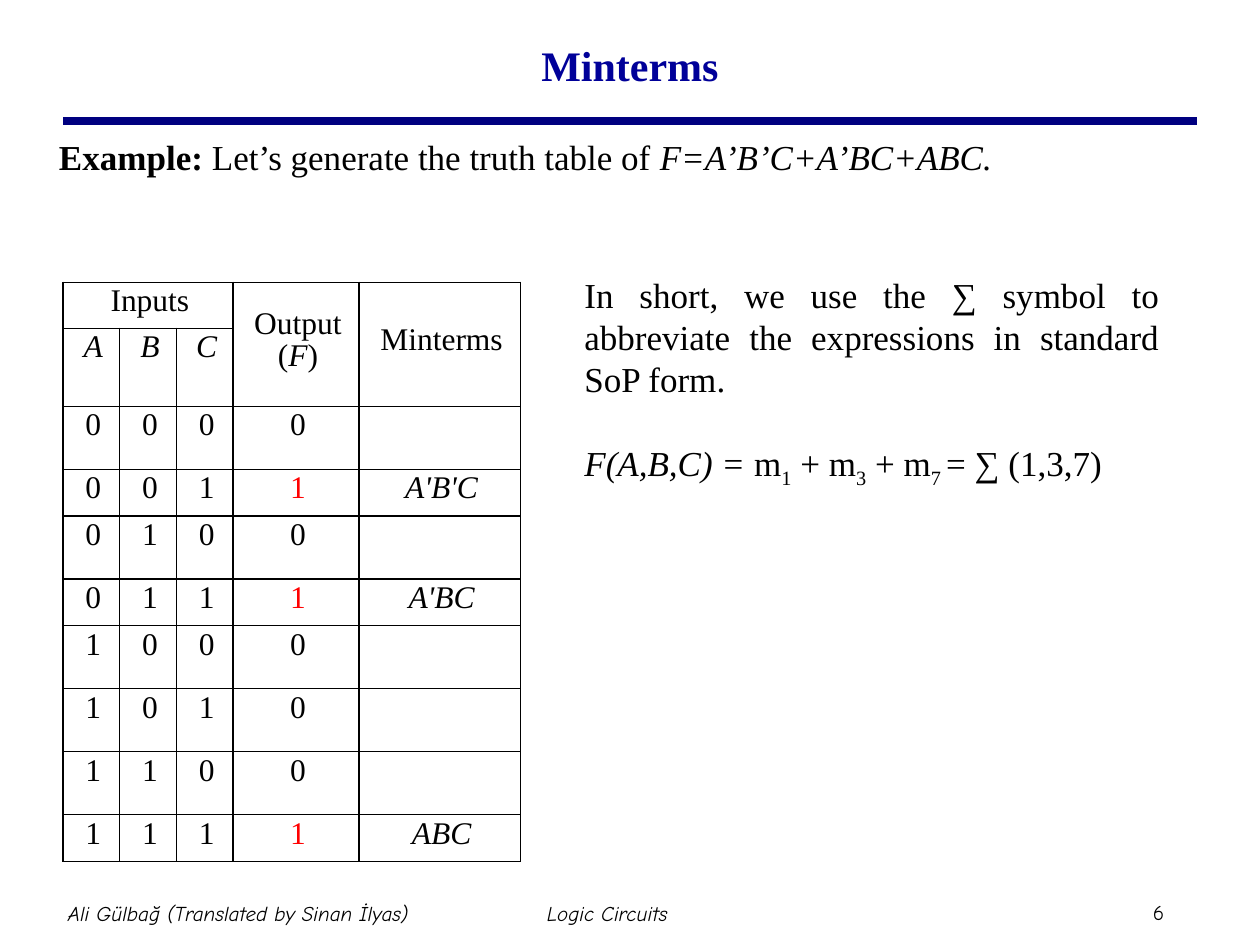
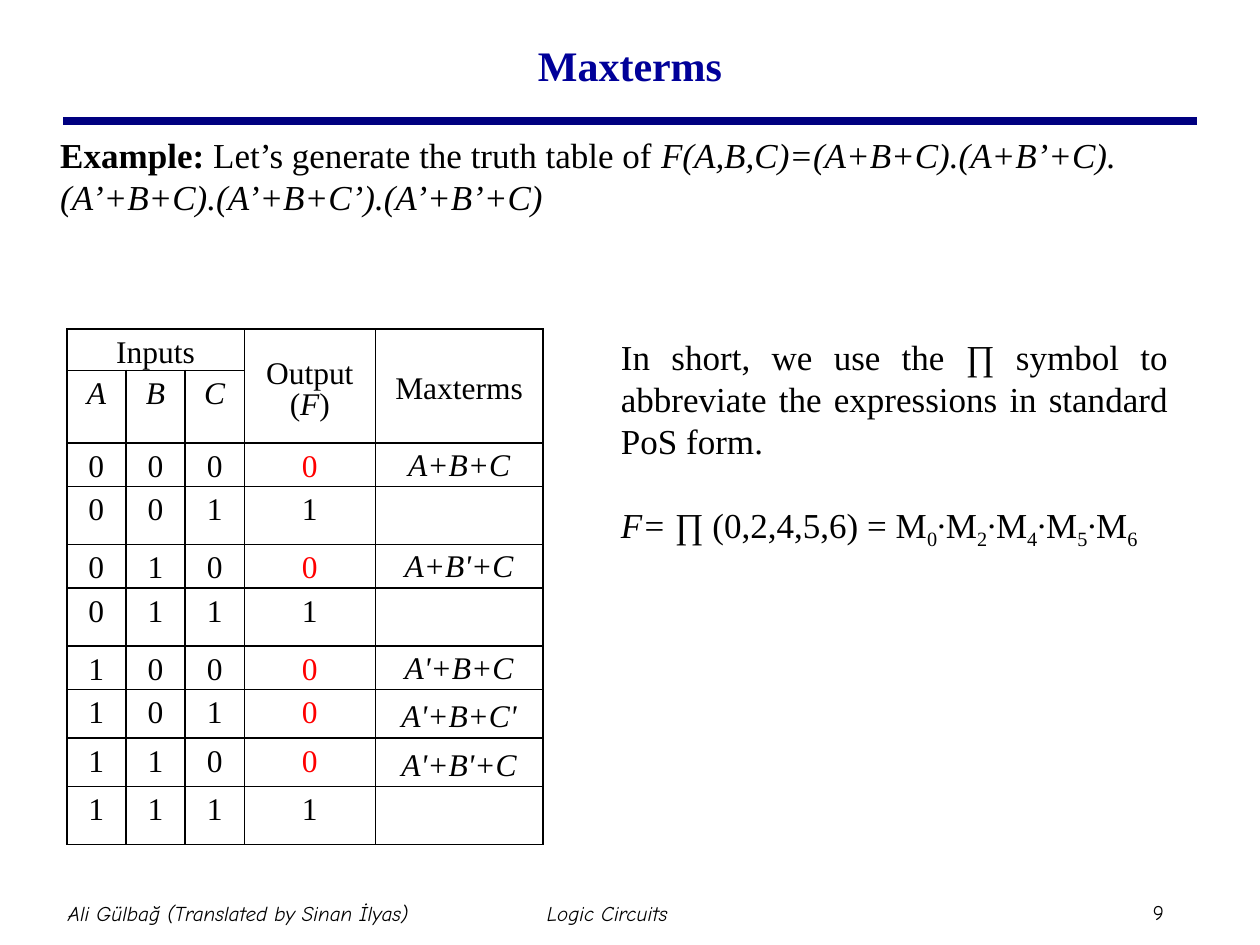
from itertools import product

from lxml import etree
from pptx import Presentation
from pptx.dml.color import RGBColor
from pptx.enum.shapes import MSO_CONNECTOR
from pptx.enum.text import MSO_ANCHOR, MSO_AUTO_SIZE, PP_ALIGN
from pptx.oxml.ns import qn
from pptx.util import Inches, Pt

LEFT, CENTER, JUSTIFY = PP_ALIGN.LEFT, PP_ALIGN.CENTER, PP_ALIGN.JUSTIFY
TOP, MIDDLE = MSO_ANCHOR.TOP, MSO_ANCHOR.MIDDLE
BLACK = RGBColor(0x00, 0x00, 0x00)
RED = RGBColor(0xFF, 0x00, 0x00)
NAVY = RGBColor(0x00, 0x00, 0x80)
TITLE_BLUE = RGBColor(0x00, 0x00, 0x99)
SERIF, FOOTER_FONT = "Times New Roman", "Comic Neue"

# Content: a run is (text, style), with b bold, i italic, s subscript.
# A term is keyed by its row number; the output there is "active" and red.
FOOTERS = [("Ali Gülbağ (Translated by Sinan İlyas)", 0.1),
           ("Logic Circuits", 3.03)]
SLIDES = [
    dict(
        title="Minterms", number="6",
        example_at=(0.37, 1.03, 9.16, 0.52),
        function=[("F=A’B’C+A’BC+ABC.", "i")],
        table_at=(0.5, 2.24), columns=[0.45, 0.45, 0.45, 1, 1.28],
        terms={1: "A'B'C", 3: "A'BC", 7: "ABC"}, active=1,
        header_rows=[0.36, 0.62], row=0.47, tall_rows={1: 0.37, 3: 0.37, 7: 0.37},
        insets=(0.08, 0.12, 0.05, 0.08), term_tops=None,
        note_at=(4.54, 2.12, 4.76, 2.12),
        note="In short, we use the ∑ symbol to abbreviate the expressions in standard SoP form.",
        formula=[("F(A,B,C) =", "i"), (" m", ""), ("1", "s"), (" + m", ""), ("3", "s"),
                 (" + m", ""), ("7 ", "s"), ("= ∑ (1,3,7)", "")],
    ),
    dict(
        title="Maxterms", number="9",
        example_at=(0.38, 1.01, 9.16, 5.55),
        function=[("F(A,B,C)=(A+B+C).(A+B’+C).(A’+B+C).(A’+B+C’).(A’+B’+C)", "i")],
        table_at=(0.53, 2.61), columns=[0.47, 0.47, 0.47, 1.04, 1.33],
        terms={0: "A+B+C", 2: "A+B'+C", 4: "A'+B+C", 5: "A'+B+C'", 6: "A'+B'+C"}, active=0,
        header_rows=[0.33, 0.57], row=0.33, tall_rows={5: 0.36, 6: 0.36},
        insets=(0.05, 0.16, 0.05, 0), term_tops={0: 0, 2: 0, 4: 0, 5: 0.04, 6: 0.04},
        note_at=(4.83, 2.61, 4.54, 2.12),
        note="In short, we use the ∏ symbol to abbreviate the expressions in standard PoS form.",
        formula=[("F= ", "i"), ("∏ (0,2,4,5,6) = M", ""), ("0", "s")]
        + [run for n in "2456" for run in (("∙M", ""), (n, "s"))],
    ),
]


def write(p, runs, size, font=SERIF, color=BLACK, align=LEFT):
    p.alignment = align
    for text, style in runs:
        r = p.add_run()
        r.text = text
        r.font.size, r.font.name = Pt(size), font
        r.font.color.rgb = color
        r.font.bold, r.font.italic = "b" in style, "i" in style
        if "s" in style:
            r.font._element.set("baseline", "-25000")


def set_margins(box, insets):
    box.margin_left, box.margin_top, box.margin_right, box.margin_bottom = map(Inches, insets)


def add_text(s, at, anchor=TOP, inset=None):
    tf = s.shapes.add_textbox(*map(Inches, at)).text_frame
    tf.word_wrap, tf.vertical_anchor = True, anchor
    if inset is not None:
        set_margins(tf, [inset] * 4)
    return tf


def add_frame(s, title, number):
    """Title, rule below it and footers."""
    sp = s.shapes.title
    sp.left, sp.top, sp.width, sp.height = map(Inches, (0.75, 0.08, 8.5, 0.86))
    tf = sp.text_frame
    tf.auto_size, tf.vertical_anchor = MSO_AUTO_SIZE.NONE, MIDDLE
    write(tf.paragraphs[0], [(title, "b")], 24, color=TITLE_BLUE, align=CENTER)

    rule = s.shapes.add_connector(MSO_CONNECTOR.STRAIGHT, *map(Inches, (0.5, 0.96, 9.5, 0.96)))
    rule.line.color.rgb, rule.line.width = NAVY, Pt(4.5)
    etree.SubElement(rule._element.spPr, qn("a:effectLst"))

    for text, left in FOOTERS:
        tf = add_text(s, (left, 7, 3.58, 0.5), MIDDLE, 0.05)
        write(tf.paragraphs[0], [(text, "i")], 12, FOOTER_FONT, align=CENTER)
    tf = add_text(s, (9.1, 7.09, 0.47, 0.3), MIDDLE, 0.05)
    write(tf.paragraphs[0], [(number, "")], 12, FOOTER_FONT)


def add_borders(cell):
    tcPr = cell._tc.get_or_add_tcPr()
    for i, side in enumerate(("a:lnL", "a:lnR", "a:lnT", "a:lnB")):
        ln = etree.Element(qn(side), w=str(Pt(1)))
        fill = etree.SubElement(ln, qn("a:solidFill"))
        etree.SubElement(fill, qn("a:srgbClr"), val=str(BLACK))
        tcPr.insert(i, ln)


def fill_cell(cell, lines, insets, color=BLACK, anchor=TOP, spacing=Pt(12)):
    set_margins(cell, insets)
    cell.vertical_anchor = anchor
    tf = cell.text_frame
    for i, runs in enumerate(lines):
        p = tf.add_paragraph() if i else tf.paragraphs[0]
        p.line_spacing = spacing
        if i:
            p.space_before = Pt(6)
        write(p, runs, 18, color=color, align=CENTER)


def add_truth_table(s, d):
    heights = d["header_rows"] + [d["tall_rows"].get(n, d["row"]) for n in range(8)]
    shape = s.shapes.add_table(len(heights), len(d["columns"]), *map(
        Inches, (*d["table_at"], sum(d["columns"]), sum(heights))))
    table, insets = shape.table, d["insets"]
    table.first_row = table.horz_banding = False
    for column, width in zip(table.columns, d["columns"]):
        column.width = Inches(width)
    for row, height in zip(table.rows, heights):
        row.height = Inches(height)
    for cell in table.iter_cells():
        cell.fill.background()
        add_borders(cell)

    # Header
    table.cell(0, 0).merge(table.cell(0, 2))
    fill_cell(table.cell(0, 0), [[("Inputs", "")]], insets)
    heads = [[[("Output", "")], [("(", ""), ("F", "i"), (")", "")]], [[(d["title"], "")]]]
    for c, lines in enumerate(heads, 3):
        table.cell(0, c).merge(table.cell(1, c))
        fill_cell(table.cell(0, c), lines, insets, anchor=MIDDLE)
    for c, name in enumerate("ABC"):
        fill_cell(table.cell(1, c), [[(name, "i")]], insets)

    # Input combinations, output and term
    for n, bits in enumerate(product("01", repeat=3)):
        term = d["terms"].get(n)
        output = d["active"] if term else 1 - d["active"]
        for c, bit in enumerate(bits):
            fill_cell(table.cell(n + 2, c), [[(bit, "")]], insets)
        fill_cell(table.cell(n + 2, 3), [[(str(output), "")]], insets, RED if term else BLACK)
        cell = table.cell(n + 2, 4)
        if term and d["term_tops"]:
            fill_cell(cell, [[(term, "i")]], (0.05, d["term_tops"][n], 0.05, 0), spacing=1.15)
        else:
            fill_cell(cell, [[(term, "i")] if term else []], insets)


def main():
    prs = Presentation()
    prs.slide_width, prs.slide_height = Inches(10), Inches(7.5)
    for d in SLIDES:
        s = prs.slides.add_slide(prs.slide_layouts[5])
        add_frame(s, d["title"], d["number"])

        example = [("Example: ", "b"), ("Let’s generate the truth table of ", "")]
        tf = add_text(s, d["example_at"])
        write(tf.paragraphs[0], example + d["function"], 20)

        add_truth_table(s, d)

        # Shorthand notation
        tf = add_text(s, d["note_at"])
        write(tf.paragraphs[0], [(d["note"], "")], 20, align=JUSTIFY)
        p = tf.add_paragraph()
        p.space_before = Pt(24)
        write(p, d["formula"], 20)
    prs.save("out.pptx")


if __name__ == "__main__":
    main()
